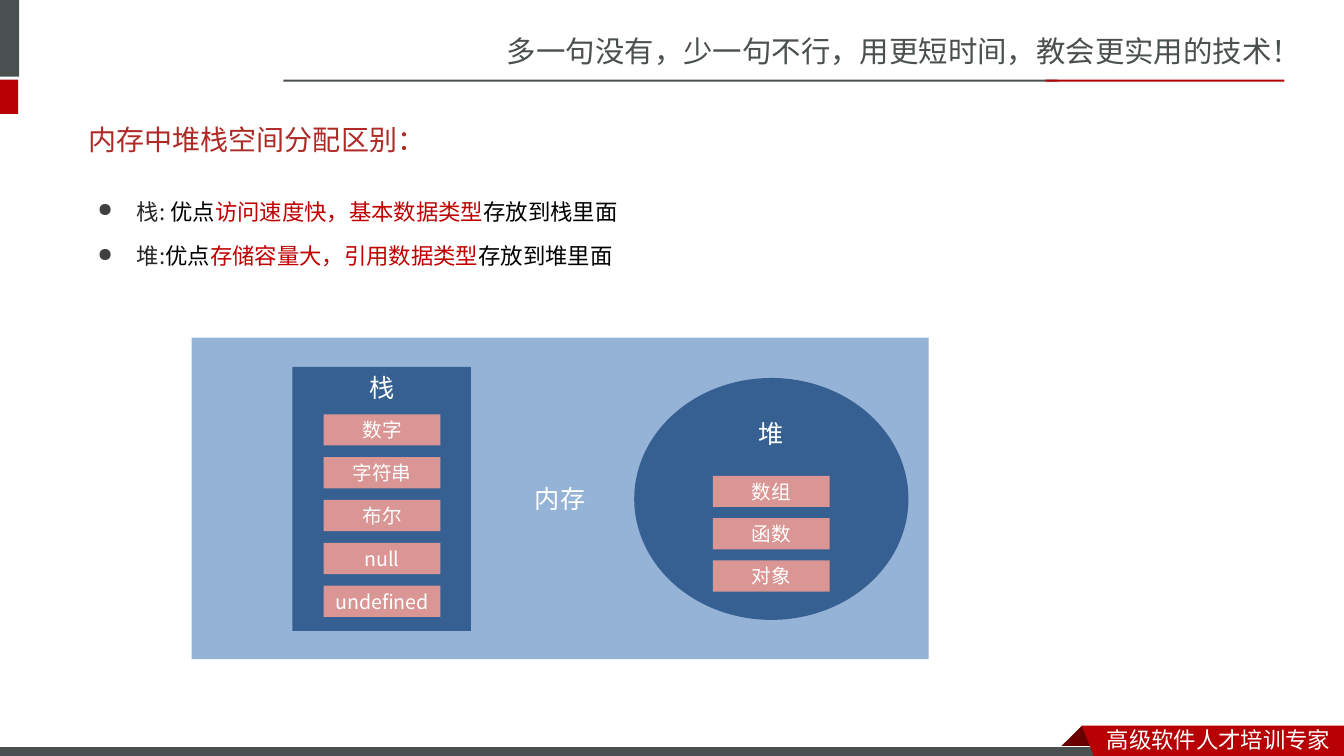
from lxml import etree
from pptx import Presentation
from pptx.dml.color import RGBColor
from pptx.enum.shapes import MSO_SHAPE
from pptx.enum.text import MSO_ANCHOR, PP_ALIGN
from pptx.oxml.ns import qn
from pptx.util import Inches, Pt

RECT, OVAL = MSO_SHAPE.RECTANGLE, MSO_SHAPE.OVAL
TOP, MIDDLE = MSO_ANCHOR.TOP, MSO_ANCHOR.MIDDLE
LEFT, CENTER = PP_ALIGN.LEFT, PP_ALIGN.CENTER

SANS, HEAD, LATIN = "Noto Sans CJK JP", "Noto Sans CJK SC", "Calibri"
GRAY, RED, DARK, WHITE = "49504F", "B60004", "680000", "FFFFFF"
TITLE, INK, BLACK, MARK = "AD2A26", "262626", "000000", "C00000"
SKY, NAVY, PINK = "95B3D7", "376092", "D99694"


def rgb(code):
    return RGBColor.from_string(code)


class Board:
    def __init__(self, slide):
        self.slide = slide
        self.shapes = slide.shapes

    def paint(self, shape, fill, line=None):
        shape.shadow.inherit = False
        shape.fill.solid()
        shape.fill.fore_color.rgb = rgb(fill)
        if line:
            shape.line.color.rgb = rgb(line)
            shape.line.width = Pt(0.75)
        else:
            shape.line.fill.background()
        return shape

    def run(self, para, text, size, font, color):
        run = para.add_run()
        run.text = text
        run.font.size = Pt(size)
        run.font.name = font
        run.font.color.rgb = rgb(color)
        # Chinese glyphs take their face from the East Asian slot
        face = HEAD if font == HEAD else SANS
        etree.SubElement(run.font._element, qn("a:ea"), typeface=face)

    def block(self, kind, box, fill, line=None):
        shape = self.shapes.add_shape(kind, *map(Inches, box))
        return self.paint(shape, fill, line)

    def label(self, kind, box, fill, text, size, font, anchor=MIDDLE):
        frame = self.block(kind, box, fill).text_frame
        frame.word_wrap = True
        frame.vertical_anchor = anchor
        para = frame.paragraphs[0]
        para.alignment = CENTER
        self.run(para, text, size, font, WHITE)

    def stack(self, left, top, step, names):
        """Place equal pink tags one below another."""
        for i, name in enumerate(names):
            box = (left, top + i * step, 1.16, 0.31)
            self.label(RECT, box, PINK, name, 14, SANS)

    def outline(self, points, fill):
        spots = [(Inches(x), Inches(y)) for x, y in points]
        form = self.shapes.build_freeform(*spots[0])
        form.add_line_segments(spots[1:], close=True)
        self.paint(form.convert_to_shape(), fill)

    def frame(self, box, anchor=TOP):
        frame = self.shapes.add_textbox(*map(Inches, box)).text_frame
        frame.word_wrap = True
        frame.vertical_anchor = anchor
        return frame

    def text(self, box, text, size, font, color, anchor=TOP):
        para = self.frame(box, anchor).paragraphs[0]
        para.alignment = LEFT
        self.run(para, text, size, font, color)

    def bullets(self, box, items, colors):
        frame = self.frame(box)
        for i, parts in enumerate(items):
            para = frame.add_paragraph() if i else frame.paragraphs[0]
            para.line_spacing = 1.5
            para.space_before = Pt(3.2)
            props = para._p.get_or_add_pPr()
            props.set("marL", str(Inches(0.39)))
            props.set("indent", str(-Inches(0.39)))
            tint = etree.SubElement(props, qn("a:buClr"))
            etree.SubElement(tint, qn("a:srgbClr"), val="404040")
            etree.SubElement(props, qn("a:buSzPct"), val="85000")
            etree.SubElement(props, qn("a:buChar"), char="●")
            for part, color in zip(parts, colors):
                self.run(para, part, 16, SANS, color)


def main():
    deck = Presentation()
    deck.slide_width, deck.slide_height = Inches(13.33), Inches(7.5)
    board = Board(deck.slides.add_slide(deck.slide_layouts[6]))

    # Header and footer
    board.text((4.93, 0.28, 8.41, 0.47),
               "多一句没有，少一句不行，用更短时间，教会更实用的技术！",
               21, HEAD, GRAY)
    board.block(RECT, (-0.06, 0, 0.25, 0.76), GRAY)
    board.block(RECT, (-0.06, 0.79, 0.24, 0.34), RED)
    board.block(RECT, (2.81, 0.79, 7.68, 0.02), GRAY)
    board.block(RECT, (10.37, 0.79, 2.37, 0.02), RED)
    board.outline([(10.73, 7.2), (10.95, 7.42), (10.94, 7.43),
                   (10.52, 7.43), (10.51, 7.42)], DARK)
    board.block(RECT, (-0.01, 7.41, 11, 0.12), GRAY, WHITE)
    board.outline([(10.73, 7.2), (13.33, 7.2), (13.33, 7.54),
                   (10.86, 7.53)], RED)
    board.text((10.88, 7.15, 2.45, 0.37), "高级软件人才培训专家",
               16, HEAD, WHITE)

    # Title and key points
    board.text((0.78, 1.1, 11.72, 0.57), "内存中堆栈空间分配区别：",
               20, SANS, TITLE, MIDDLE)
    board.bullets((0.87, 1.78, 11.72, 4.98), [
        ("栈: ", "优点", "访问速度快，基本数据类型", "存放到栈里面"),
        ("堆:", "优点", "存储容量大，引用数据类型", "存放到堆里面"),
    ], (INK, BLACK, MARK, BLACK))

    # Memory diagram
    board.label(RECT, (1.9, 3.35, 7.31, 3.19), SKY, "内存", 18, LATIN)
    board.label(RECT, (2.9, 3.64, 1.77, 2.62), NAVY, "栈", 18, LATIN, TOP)
    board.label(OVAL, (6.29, 3.75, 2.72, 2.4), NAVY, "堆", 18, LATIN, TOP)
    board.stack(3.21, 4.11, 0.425,
                ("数字", "字符串", "布尔", "null", "undefined"))
    board.stack(7.07, 4.72, 0.42, ("数组", "函数", "对象"))

    deck.save("out.pptx")


if __name__ == "__main__":
    main()
